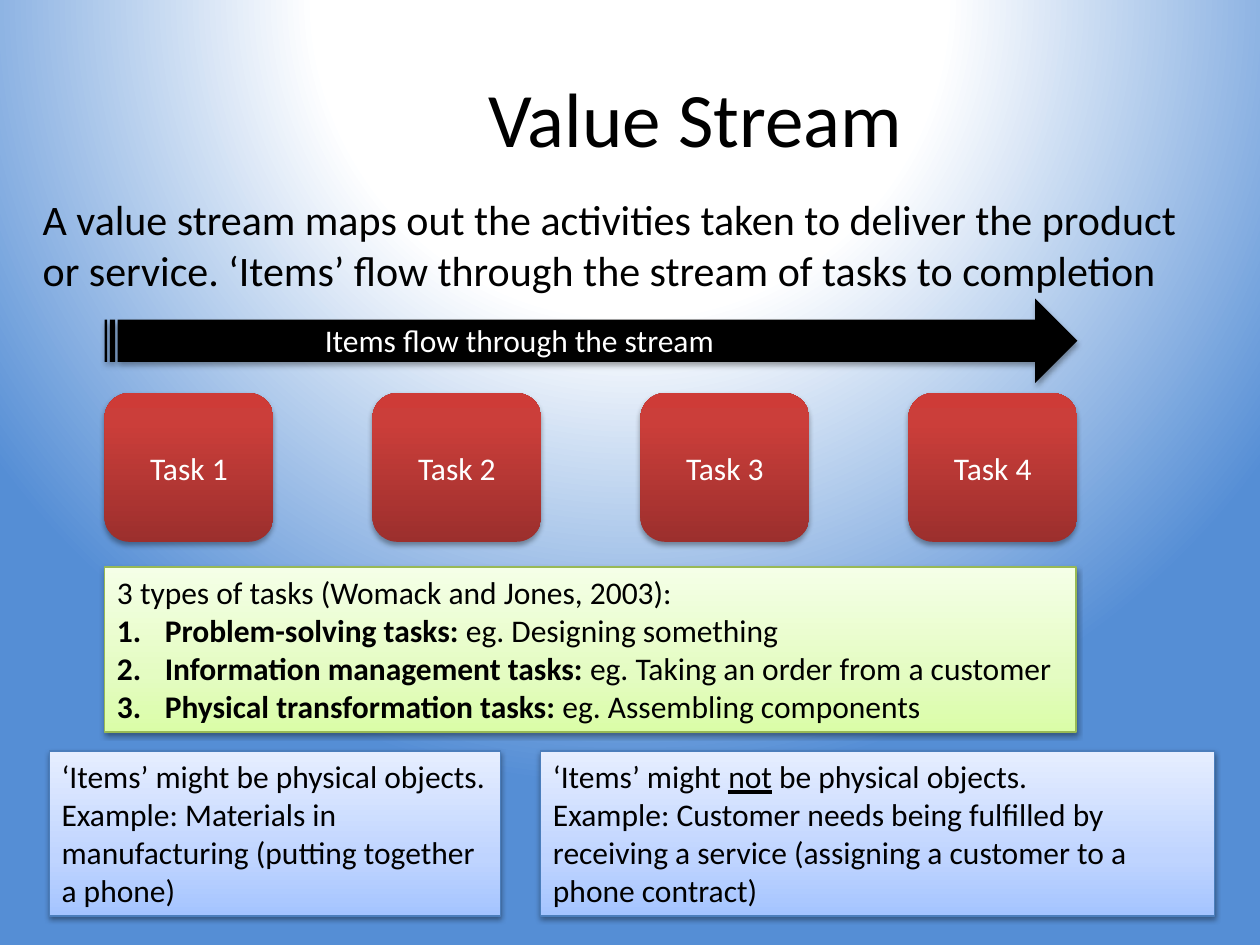
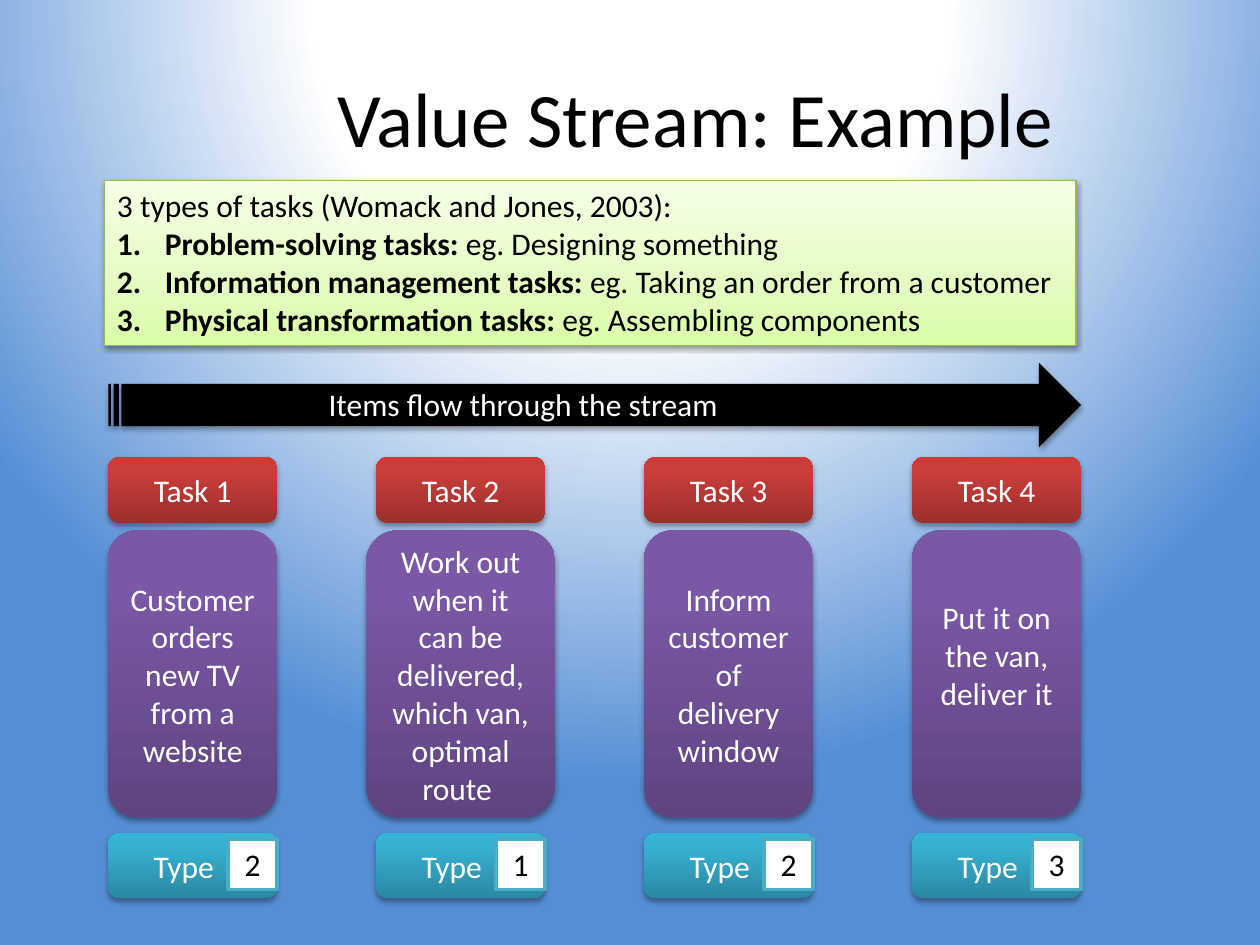
from lxml.etree import SubElement
from pptx import Presentation
from pptx.dml.color import RGBColor
from pptx.enum.shapes import MSO_SHAPE
from pptx.enum.text import MSO_ANCHOR, PP_ALIGN
from pptx.oxml import parse_xml
from pptx.oxml.ns import nsdecls, qn
from pptx.util import Inches, Pt

COLORS = {
    "ink": "000000", "paper": "FFFFFF", "sky": "558ED5",
    "items_line": "4B7EBC", "types_line": "98B955", "badge_line": "4BACC6",
}
GRADIENTS = {
    "task": [(0, "9C2F2D"), (80, "CB3E3A"), (100, "CE3B37")],
    "detail": [(0, "5F4480"), (80, "7B58A6"), (100, "7C57A8")],
    "type": [(0, "2A88A2"), (80, "37B1D2"), (100, "34B4D6")],
    "items": [(0, "A4C4FF"), (35, "BFD4FF"), (100, "E6EEFF")],
    "types": [(0, "DAFDA7"), (35, "E4FCC2"), (100, "F5FFE7")],
}
BACKDROP = [(0, COLORS["paper"]), (40, COLORS["paper"], 57), (100, COLORS["sky"], 56)]
UPWARD = '<a:lin ang="16200000" scaled="0"/>'
FROM_TOP = '<a:path path="circle"><a:fillToRect l="50000" t="-80000" r="50000" b="180000"/></a:path>'
BLOCK_SHADOW = {"opacity": 35, "blur": 3.15, "distance": 1.81}
PANEL_SHADOW = {"opacity": 38, "blur": 3.15, "distance": 1.57}
BOLD = {"bold": True}

STREAM_WIDTH = 7.72
TASK_WIDTH = 1.34
TASK_STEP = (STREAM_WIDTH - TASK_WIDTH) / 3
BADGE_WIDTH = 0.39

TASK_TYPES = [
    ("Problem-solving tasks: ", "eg. Designing something"),
    ("Information management tasks: ", "eg. Taking an order from a customer"),
    ("Physical transformation tasks: ", "eg. Assembling components"),
]
DELIVERY_STEPS = [
    ("Customer orders new TV from a website", TASK_WIDTH, 0.05, "2"),
    ("Work out when it can be delivered, which van, optimal route ", 1.5, 0.05, "1"),
    ("Inform customer of delivery window", TASK_WIDTH, 0.05, "2"),
    ("Put it on the van, deliver it", TASK_WIDTH, 0.35, "3"),
]


def gradient_xml(stops, direction):
    """Build a gradient fill from (position, colour[, opacity]) stops."""
    marks = ""
    for position, color, *opacity in stops:
        alpha = f'<a:alpha val="{opacity[0] * 1000}"/>' if opacity else ""
        marks += f'<a:gs pos="{position * 1000}"><a:srgbClr val="{color}">{alpha}</a:srgbClr></a:gs>'
    return parse_xml(f'<a:gradFill {nsdecls("a")} rotWithShape="1">'
                     f'<a:gsLst>{marks}</a:gsLst>{direction}</a:gradFill>')


def replace_fill(owner, gradient):
    """Swap the solid fill of an element for a gradient."""
    solid = owner.find(qn("a:solidFill"))
    owner.replace(solid, gradient)


def add_shadow(shape, opacity, blur, distance):
    """Give a shape a black shadow that falls straight down."""
    effects = shape._element.spPr.find(qn("a:effectLst"))
    shadow = SubElement(effects, qn("a:outerShdw"), blurRad=str(Pt(blur)),
                        dist=str(Pt(distance)), dir="5400000", rotWithShape="0")
    tint = SubElement(shadow, qn("a:srgbClr"), val=COLORS["ink"])
    SubElement(tint, qn("a:alpha"), val=str(opacity * 1000))


def number_paragraph(paragraph):
    """Turn a paragraph into an item of a numbered list."""
    properties = paragraph._p.get_or_add_pPr()
    properties.set("marL", str(Inches(0.38)))
    properties.set("indent", str(Inches(-0.38)))
    SubElement(properties, qn("a:buFont"), typeface="+mj-lt")
    SubElement(properties, qn("a:buAutoNum"), type="arabicPeriod")


def write(shape, lines, color="ink", size=18, align=PP_ALIGN.LEFT, numbered_from=None, **layout):
    """Write lines, each a string or a list of (text, format) runs."""
    frame = shape.text_frame
    settings = {"word_wrap": True, "vertical_anchor": MSO_ANCHOR.TOP, **layout}
    for name, value in settings.items():
        setattr(frame, name, value)
    for index, line in enumerate(lines):
        paragraph = frame.paragraphs[0] if index == 0 else frame.add_paragraph()
        paragraph.alignment = align
        if numbered_from is not None and index >= numbered_from:
            number_paragraph(paragraph)
        for text, style in [(line, {})] if isinstance(line, str) else line:
            run = paragraph.add_run()
            run.text = text
            for name, value in {"name": "Calibri", "size": Pt(size), **style}.items():
                setattr(run.font, name, value)
            run.font.color.rgb = RGBColor.from_string(COLORS[color])


def add_label(slide, place, lines, **style):
    """Add text without a frame at (left, top, width, height)."""
    label = slide.shapes.add_textbox(*map(Inches, place))
    write(label, lines, **style)


def add_figure(slide, kind, place, fill, line=None, line_width=0.75, shadow=None):
    """Add a preset shape filled with a named colour or gradient."""
    figure = slide.shapes.add_shape(kind, *map(Inches, place))
    figure.shadow.inherit = False
    figure.fill.solid()
    if fill in GRADIENTS:
        replace_fill(figure._element.spPr, gradient_xml(GRADIENTS[fill], UPWARD))
    else:
        figure.fill.fore_color.rgb = RGBColor.from_string(COLORS[fill])
    if line:
        figure.line.color.rgb = RGBColor.from_string(COLORS[line])
        figure.line.width = Pt(line_width)
    else:
        figure.line.fill.background()
    if shadow:
        add_shadow(figure, **shadow)
    return figure


def add_block(slide, place, fill, text, **layout):
    """Add a rounded block with centred white text."""
    block = add_figure(slide, MSO_SHAPE.ROUNDED_RECTANGLE, place, fill, shadow=BLOCK_SHADOW)
    write(block, [text], "paper", align=PP_ALIGN.CENTER,
          vertical_anchor=MSO_ANCHOR.MIDDLE, **layout)


def add_panel(slide, place, theme, lines, **style):
    """Add an outlined panel of explanatory text."""
    panel = add_figure(slide, MSO_SHAPE.RECTANGLE, place, theme, f"{theme}_line", shadow=PANEL_SHADOW)
    write(panel, lines, **style)


def add_task_types(slide, top):
    """Add the panel that lists the three types of tasks."""
    entries = [[(kind, BOLD), (example, {})] for kind, example in TASK_TYPES]
    add_panel(slide, (0.83, top, 7.71, 1.31), "types",
              ["3 types of tasks (Womack and Jones, 2003):", *entries], numbered_from=1)


def add_stream(slide, left, top, task_height):
    """Add the flow arrow with its tasks and return the tasks' left edges."""
    add_figure(slide, MSO_SHAPE.STRIPED_RIGHT_ARROW, (left, top, STREAM_WIDTH, 0.67),
               "ink", shadow=BLOCK_SHADOW)
    add_label(slide, (left + 1.65, top + 0.13, 4.17, 0.4),
              ["Items flow through the stream"], color="paper")
    task_lefts = [left + step * TASK_STEP for step in range(4)]
    for number, task_left in enumerate(task_lefts, 1):
        add_block(slide, (task_left, top + 0.75, TASK_WIDTH, task_height), "task", f"Task {number}")
    return task_lefts


def add_titled_slide(deck, title):
    """Add a slide with the shared backdrop and title."""
    slide = deck.slides.add_slide(deck.slide_layouts[6])
    slide.background.fill.solid()
    replace_fill(slide.element.find(f".//{qn('p:bgPr')}"), gradient_xml(BACKDROP, FROM_TOP))
    add_label(slide, (1.54, 0.3, 7.96, 1.25), [title], size=44,
              align=PP_ALIGN.CENTER, vertical_anchor=MSO_ANCHOR.MIDDLE)
    return slide


def build_definition(deck):
    """Build the slide that explains value streams."""
    slide = add_titled_slide(deck, "Value Stream")
    add_stream(slide, 0.83, 2.37, 1.18)
    add_panel(slide, (0.39, 5.96, 3.58, 1.31), "items", [
        "‘Items’ might be physical objects.",
        "Example: Materials in manufacturing (putting together a phone)"])
    add_panel(slide, (4.29, 5.96, 5.35, 1.31), "items", [
        [("‘Items’ might ", {}), ("not", {"underline": True}), (" be physical objects.", {})],
        "Example: Customer needs being fulfilled by receiving a service "
        "(assigning a customer to a phone contract)"])
    add_label(slide, (0.24, 1.49, 9.26, 0.91), [
        "A value stream maps out the activities taken to deliver the product or service. "
        "‘Items’ flow through the stream of tasks to completion"], size=24)
    add_task_types(slide, 4.5)


def build_example(deck):
    """Build the slide that follows a delivery through its tasks."""
    slide = add_titled_slide(deck, "Value Stream: Example")
    task_lefts = add_stream(slide, 0.86, 2.88, 0.52)
    add_task_types(slide, 1.43)
    for left, (detail, width, bottom_inset, task_type) in zip(task_lefts, DELIVERY_STEPS):
        detail_left = left + (TASK_WIDTH - width) / 2
        add_block(slide, (detail_left, 4.21, width, 2.28), "detail", detail,
                  margin_bottom=Inches(bottom_inset))
        add_block(slide, (left, 6.61, TASK_WIDTH, 0.52), "type", "Type", margin_right=Inches(0.24))
        badge_left = left + TASK_WIDTH - BADGE_WIDTH
        badge = add_figure(slide, MSO_SHAPE.RECTANGLE, (badge_left, 6.66, BADGE_WIDTH, 0.4),
                           "paper", "badge_line", 2)
        write(badge, [task_type], align=PP_ALIGN.CENTER)


def main():
    """Build and save the presentation."""
    deck = Presentation()
    deck.slide_width, deck.slide_height = Inches(10), Inches(7.5)
    build_definition(deck)
    build_example(deck)
    deck.save("out.pptx")


if __name__ == "__main__":
    main()
